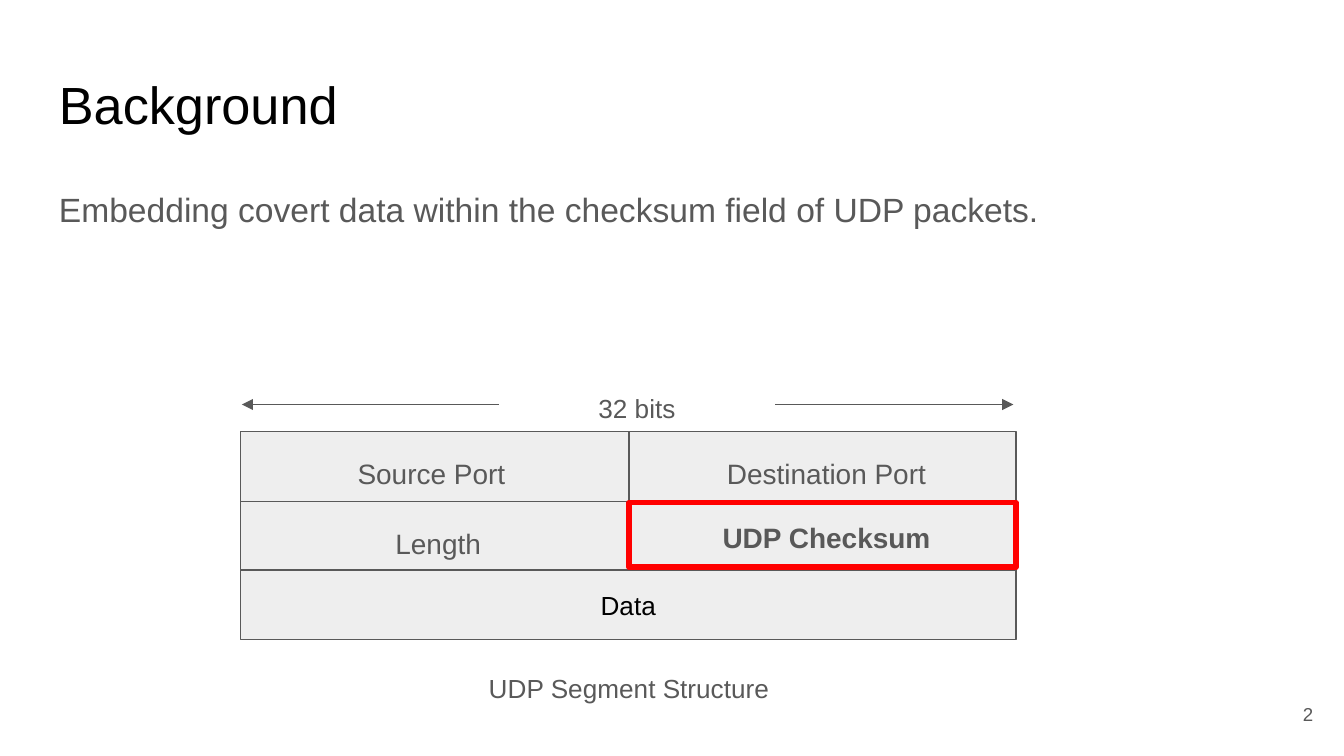
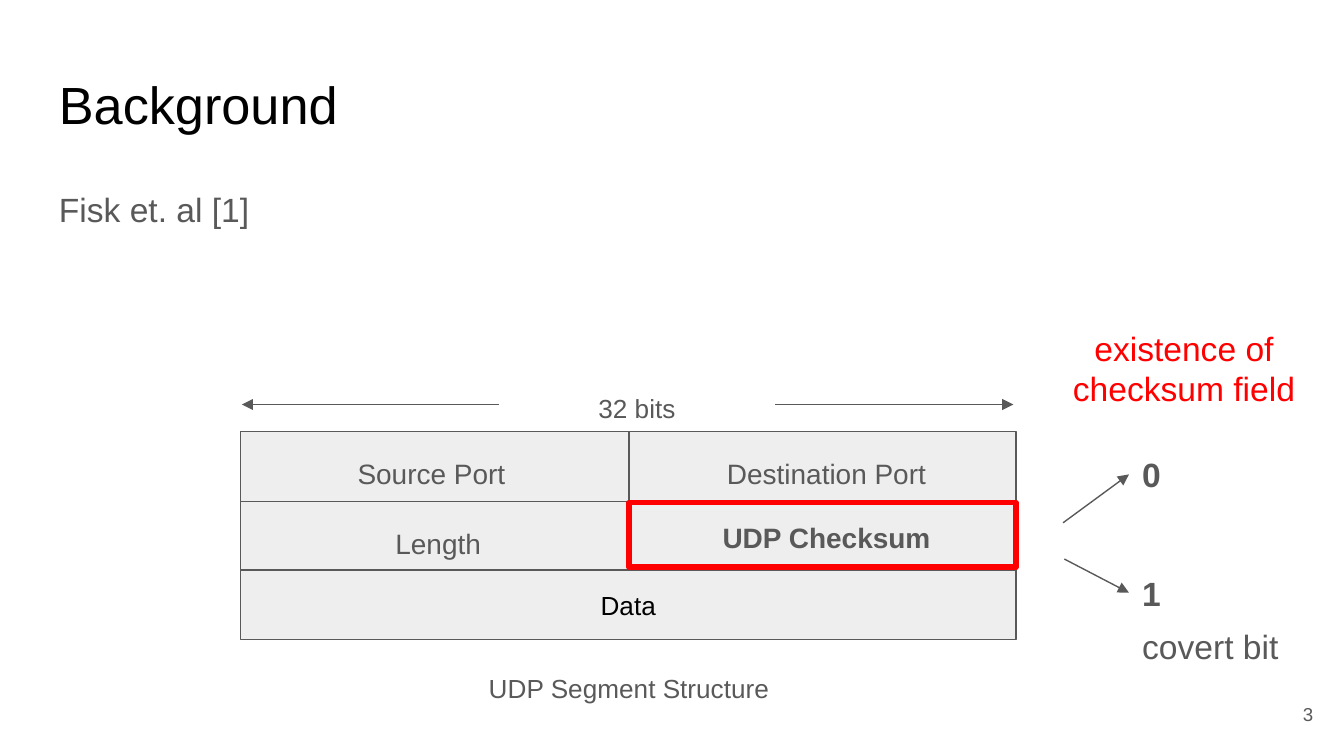
"""Build two slides on hiding covert data in the UDP checksum field."""
from dataclasses import dataclass

import pptx
import pptx.dml.color
import pptx.enum.shapes
import pptx.enum.text
import pptx.oxml.ns
import pptx.util
from lxml import etree

ALIGN = pptx.enum.text.PP_ALIGN
ANCHOR = pptx.enum.text.MSO_ANCHOR
EMU_PER_PX = 9144


@dataclass(frozen=True)
class Theme:
    """Colours, font, type sizes and line widths shared by the slides."""
    font: str = "Arial"
    black: str = "000000"
    grey: str = "595959"
    pale: str = "EEEEEE"
    red: str = "FF0000"
    title: int = 28
    body: int = 18
    field: int = 15
    label: int = 14
    number: int = 10
    thin: float = 0.75
    thick: float = 3


T = Theme()


def px(n):
    """Turn px into EMU, at 100 px to the inch."""
    return pptx.util.Emu(n * EMU_PER_PX)


def rgb(color):
    """Turn a hex string into a colour."""
    return pptx.dml.color.RGBColor.from_string(color)


def add_line_part(line, tag, **attrs):
    """Append a join or arrowhead element to an outline."""
    ln = line._get_or_add_ln()
    etree.SubElement(ln, pptx.oxml.ns.qn(tag), attrs)


def write(sp, text, size, color=T.grey, bold=False, align=ALIGN.LEFT,
          anchor=ANCHOR.TOP, spacing=1.0, after=0):
    """Put one formatted paragraph into a shape."""
    tf = sp.text_frame
    tf.text = text
    tf.word_wrap = True
    tf.vertical_anchor = anchor
    tf.margin_left = tf.margin_right = tf.margin_top = tf.margin_bottom = px(10)
    p = tf.paragraphs[0]
    p.alignment = align
    p.line_spacing = spacing
    p.space_after = pptx.util.Pt(after)
    for r in p.runs:
        r.font.name = T.font
        r.font.size = pptx.util.Pt(size)
        r.font.bold = bold
        r.font.color.rgb = rgb(color)


def add_text(s, box, text, size, **style):
    """Add a text box."""
    write(s.shapes.add_textbox(*map(px, box)), text, size, **style)


def add_box(s, box, fill=None, color=T.grey, width=T.thin):
    """Add an outlined rectangle, filled or hollow."""
    sp = s.shapes.add_shape(pptx.enum.shapes.MSO_SHAPE.RECTANGLE, *map(px, box))
    sp.shadow.inherit = False
    if fill:
        sp.fill.solid()
        sp.fill.fore_color.rgb = rgb(fill)
    else:
        sp.fill.background()
    sp.line.color.rgb = rgb(color)
    sp.line.width = pptx.util.Pt(width)
    add_line_part(sp.line, "a:round")
    return sp


def add_line(s, x1, y1, x2, y2, arrow=False):
    """Add a thin line, with an arrowhead at its end if wanted."""
    cx = s.shapes.add_connector(pptx.enum.shapes.MSO_CONNECTOR.STRAIGHT,
                                *map(px, (x1, y1, x2, y2)))
    cx.line.color.rgb = rgb(T.grey)
    cx.line.width = pptx.util.Pt(T.thin)
    if arrow:
        add_line_part(cx.line, "a:tailEnd", type="triangle")
    etree.SubElement(cx._element.spPr, pptx.oxml.ns.qn("a:effectLst"))


def add_segment(s):
    """Draw the UDP segment with its fields, width arrows and caption."""
    left, top, width, row = 179, 321, 577, 52
    right, middle, data_top = left + width, 468, 424
    data = add_box(s, (left, data_top, width, row), T.pale)
    write(data, "Data", T.label, color=T.black, align=ALIGN.CENTER,
          anchor=ANCHOR.MIDDLE)
    add_box(s, (left, top, width, data_top - top), T.pale)
    add_line(s, middle, top, middle, data_top)
    add_line(s, left, top + row, right, top + row)
    for x, y, name, bold in ((217, 330, "Source Port", False),
                             (511, 330, "Destination Port", False),
                             (222, 382, "Length", False),
                             (511, 377, "UDP Checksum", True)):
        add_text(s, (x, y, 208, 33), name, T.field, bold=bold,
                 align=ALIGN.CENTER)
    add_box(s, (middle, 374, right - middle, 48), color=T.red, width=T.thick)
    for box, text in (((371, 282, 206, 38), "32 bits"),
                      ((287, 490, 362, 38), "UDP Segment Structure")):
        add_text(s, box, text, T.label, align=ALIGN.CENTER)
    add_line(s, 371, 301, 180, 301, arrow=True)
    add_line(s, 577, 301, 754, 301, arrow=True)


def add_covert_bit(s):
    """Show how the checksum's existence encodes one bit."""
    add_text(s, (786, 234, 190, 75), "existence of checksum field", T.body,
             color=T.red, align=ALIGN.CENTER)
    add_line(s, 791, 389, 840, 353, arrow=True)
    add_line(s, 792, 416, 840, 441, arrow=True)
    for y, bit in ((328, "0"), (416, "1")):
        add_text(s, (840, y, 42, 50), bit, T.body, bold=True)
    add_text(s, (840, 454, 139, 53), "covert bit", T.body, spacing=1.05,
             after=12)


def add_background_slide(prs, number, statement):
    """Add a slide with title, statement, segment and page number."""
    s = prs.slides.add_slide(prs.slide_layouts[6])
    add_text(s, (34, 49, 932, 63), "Background", T.title, color=T.black,
             spacing=0.9)
    add_text(s, (34, 126, 932, 81), statement, T.body, spacing=1.15, after=12)
    add_segment(s)
    add_text(s, (927, 510, 60, 43), str(number), T.number, align=ALIGN.RIGHT,
             anchor=ANCHOR.MIDDLE)
    return s


def main():
    """Build and save the presentation."""
    prs = pptx.Presentation()
    prs.slide_width = px(1000)
    prs.slide_height = px(1000) * 9 // 16
    add_background_slide(
        prs, 2,
        "Embedding covert data within the checksum field of UDP packets.")
    s = add_background_slide(prs, 3, "Fisk et. al [1]")
    add_covert_bit(s)
    prs.save("out.pptx")


if __name__ == "__main__":
    main()
